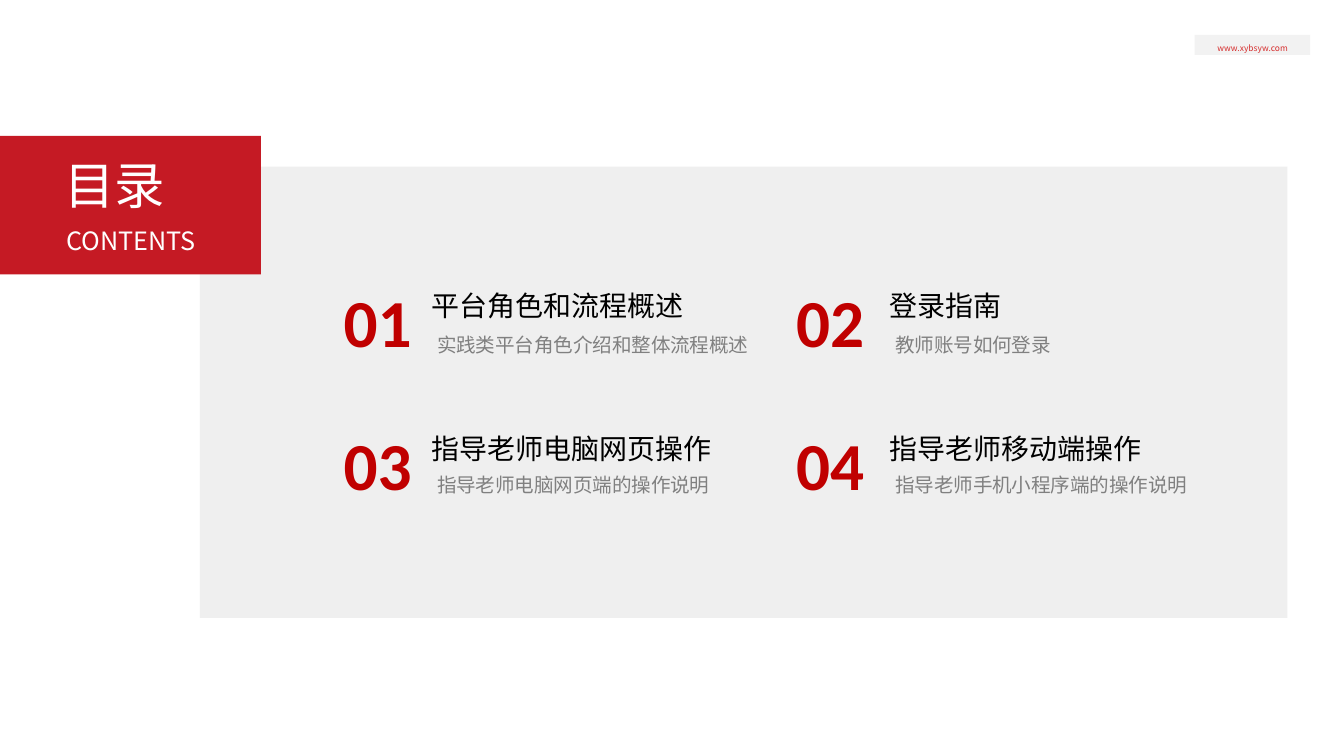
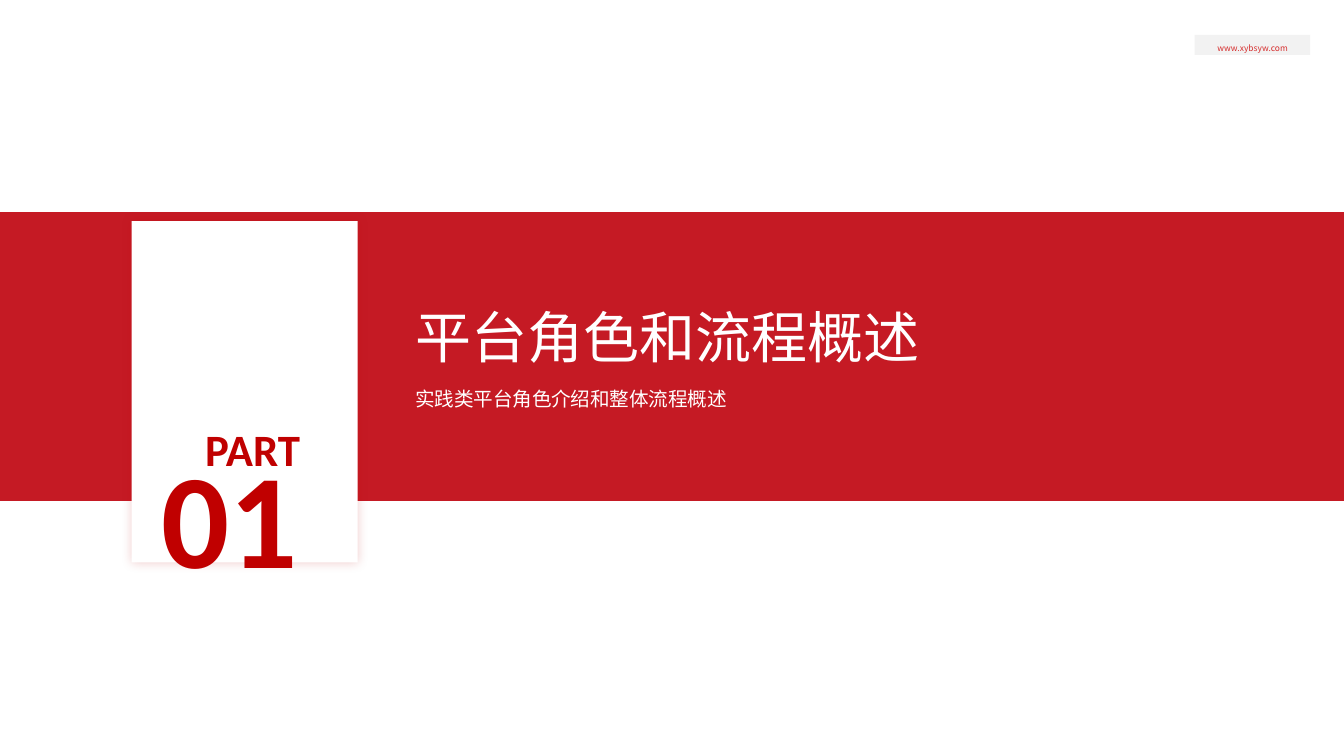
import pptx
import pptx.dml.color
import pptx.enum.shapes
import pptx.enum.text
import pptx.oxml
import pptx.oxml.ns
import pptx.util
from pptx.util import Cm

RED, DEEP_RED, WHITE, BLACK, GREY = "C51A24", "C00000", "FFFFFF", "000000", "808080"
HAN, NUMERAL = "Noto Sans CJK SC", "Calibri"
ALIGN = pptx.enum.text.PP_ALIGN
OVERVIEW = ("平台角色和流程概述", "实践类平台角色介绍和整体流程概述")


def block(shapes, left, top, width, height, color):
    """Add a plain filled rectangle; lengths in centimetres."""
    rect = shapes.add_shape(pptx.enum.shapes.MSO_SHAPE.RECTANGLE,
                            Cm(left), Cm(top), Cm(width), Cm(height))
    rect.shadow.inherit = False
    rect.fill.solid()
    rect.fill.fore_color.rgb = pptx.dml.color.RGBColor.from_string(color)
    rect.line.fill.background()
    return rect


def write(shapes, words, left, top, width, height, size, color,
          font=HAN, align=ALIGN.LEFT, inset=(0.13, 0.13), wrap=True):
    """Add one line of text; numerals are bold, inset is (sides, top and bottom)."""
    box = shapes.add_textbox(Cm(left), Cm(top), Cm(width), Cm(height))
    frame = box.text_frame
    frame.word_wrap = wrap
    frame.margin_left = frame.margin_right = Cm(inset[0])
    frame.margin_top = frame.margin_bottom = Cm(inset[1])
    paragraph = frame.paragraphs[0]
    paragraph.alignment = align
    run = paragraph.add_run()
    run.text = words
    run.font.size = pptx.util.Pt(size)
    run.font.bold = font == NUMERAL
    run.font.color.rgb = pptx.dml.color.RGBColor.from_string(color)
    run.font.name = font
    east_asian = pptx.oxml.parse_xml(
        f'<a:ea {pptx.oxml.ns.nsdecls("a")} typeface="{font}"/>')
    run.font._element.find(pptx.oxml.ns.qn("a:latin")).addnext(east_asian)


deck = pptx.Presentation()
deck.slide_width, deck.slide_height = Cm(25.4), Cm(14.29)
contents, section = [deck.slides.add_slide(deck.slide_layouts[6]) for _ in range(2)]

# Contents
page = contents.shapes
block(page, 3.78, 3.15, 20.55, 8.53, "EFEFEF")
block(page, 0, 2.57, 4.93, 2.62, RED)
write(page, "目录", 1.09, 2.79, 2.69, 1.4, 27, WHITE, align=ALIGN.JUSTIFY)
write(page, "CONTENTS", 0.69, 4.13, 3.58, 0.84, 13.5, WHITE, align=ALIGN.CENTER)

chapters = [
    OVERVIEW,
    ("登录指南", "教师账号如何登录"),
    ("指导老师电脑网页操作", "指导老师电脑网页端的操作说明"),
    ("指导老师移动端操作", "指导老师手机小程序端的操作说明"),
]
columns = [(6.11, 8.03), (14.66, 16.69)]  # left of number, left of heading
rows = [(5.17, 6.2), (7.87, 8.84)]  # top of number, top of caption
for index, (heading, caption) in enumerate(chapters):
    number_left, heading_left = columns[index % 2]
    number_top, caption_top = rows[index // 2]
    write(page, caption, heading_left + 0.1, caption_top, 6.78, 0.64, 10.5, GREY,
          inset=(0.13, 0.1))
    write(page, heading, heading_left, number_top + 0.18, 6, 0.84, 15, BLACK,
          inset=(0.13, 0.1))
    write(page, f"{index + 1:02}", number_left, number_top, 2.06, 1.8, 36, DEEP_RED,
          NUMERAL, ALIGN.CENTER, (0.25, 0.13), wrap=False)

# Section opener
page = section.shapes
block(page, 0, 4.01, 25.4, 5.46, RED)
card = block(page, 2.49, 4.18, 4.27, 6.45, WHITE)
glow = pptx.oxml.parse_xml(
    f'<a:outerShdw {pptx.oxml.ns.nsdecls("a")} blurRad="{pptx.util.Pt(6)}" dist="0" '
    'dir="13500000" algn="ctr" rotWithShape="0">'
    '<a:srgbClr val="B90003"><a:alpha val="20000"/></a:srgbClr></a:outerShdw>')
card._element.spPr.find(pptx.oxml.ns.qn("a:effectLst")).append(glow)
write(page, "01", 2.8, 8.07, 3.58, 3.3, 72, DEEP_RED, NUMERAL, inset=(0.25, 0.13))
write(page, OVERVIEW[0], 7.72, 5.59, 12.12, 1.52, 30, WHITE)
write(page, OVERVIEW[1], 7.72, 7.21, 12.47, 0.64, 10.5, WHITE, inset=(0.13, 0.1))
write(page, "PART", 2.8, 7.85, 3.12, 1.27, 24, DEEP_RED, NUMERAL, ALIGN.RIGHT,
      (0.25, 0.13))

# Web address in the corner of every slide
for slide in deck.slides:
    corner = slide.shapes.add_group_shape().shapes
    block(corner, 22.58, 0.66, 2.18, 0.38, "F2F2F2")
    write(corner, "www.xybsyw.com", 22.85, 0.72, 1.65, 0.46, 4.5, "D62F2F",
          align=ALIGN.CENTER)

deck.save("out.pptx")
